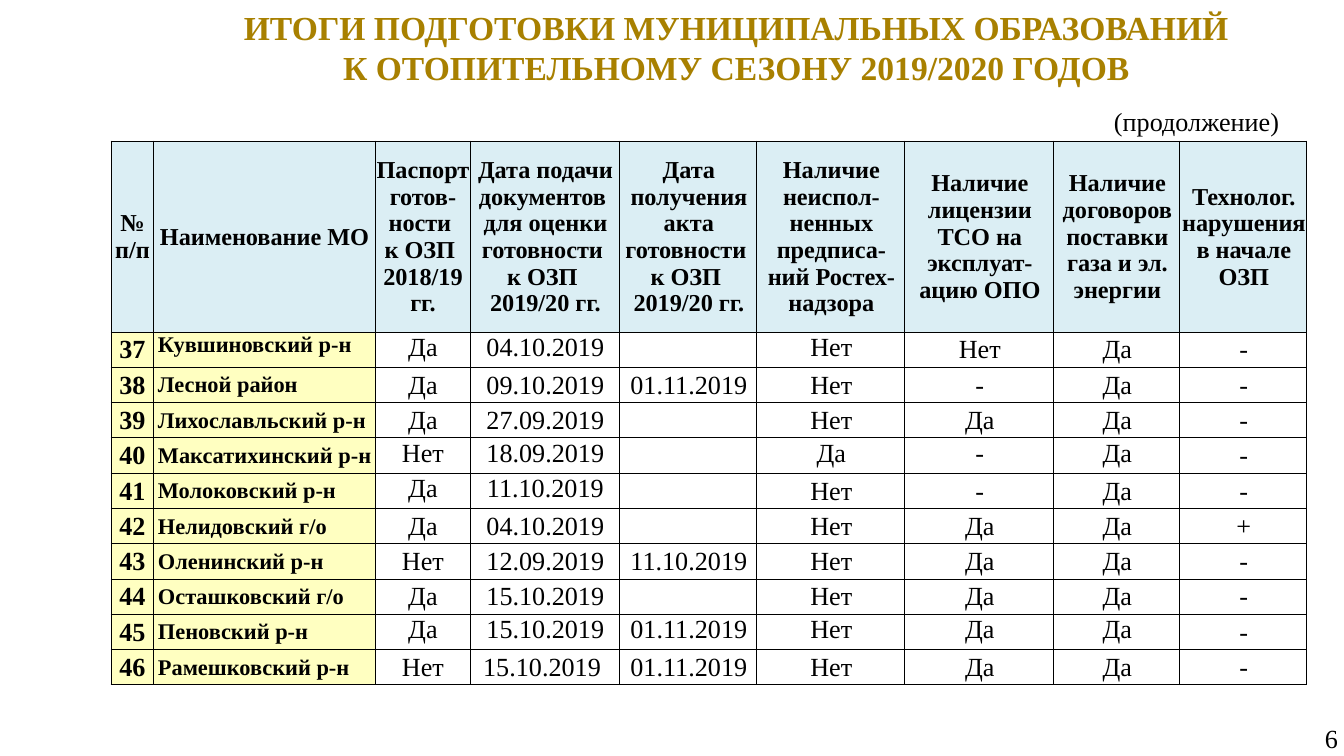
from lxml import etree
from pptx import Presentation
from pptx.dml.color import RGBColor
from pptx.enum.text import MSO_ANCHOR, PP_ALIGN
from pptx.oxml.ns import qn
from pptx.util import Pt

LEFT, CENTER, RIGHT = PP_ALIGN.LEFT, PP_ALIGN.CENTER, PP_ALIGN.RIGHT
TOP, MIDDLE = MSO_ANCHOR.TOP, MSO_ANCHOR.MIDDLE

SCALE = 914400 / 134.4  # EMU in one px
FONT = "Times New Roman"
BLACK, GOLD = "000000", "A88000"
HEADER_FILL, LABEL_FILL = "DBEEF4", "FFFFC1"

COLUMN_WIDTHS = [42, 222, 95, 150, 137, 148, 149, 126, 127]
TABLE_HEIGHT, HEADER_HEIGHT = 544, 191

# "\v" is a line break, "\n" starts a new paragraph
HEADERS = [
    "№ п/п",
    "Наименование МО",
    "Паспорт готов-ности \vк ОЗП \v2018/19 гг.",
    "Дата подачи документов \vдля оценки готовности \vк ОЗП \v2019/20 гг.",
    "Дата получения акта готовности \nк ОЗП \v2019/20 гг.",
    "Наличие неиспол-ненных предписа-ний Ростех-надзора",
    "Наличие лицензии ТСО на эксплуат-ацию ОПО",
    "Наличие договоров поставки газа и эл. энергии",
    "Технолог. нарушения в начале ОЗП",
]
ROWS = [
    ["37", "Кувшиновский р-н", "Да", "04.10.2019", "", "Нет", "Нет", "Да", "-"],
    ["38", "Лесной район", "Да", "09.10.2019", "01.11.2019", "Нет", "-", "Да", "-"],
    ["39", "Лихославльский р-н", "Да", "27.09.2019", "", "Нет", "Да", "Да", "-"],
    ["40", "Максатихинский р-н", "Нет", "18.09.2019", "", "Да", "-", "Да", "-"],
    ["41", "Молоковский р-н", "Да", "11.10.2019", "", "Нет", "-", "Да", "-"],
    ["42", "Нелидовский г/о", "Да", "04.10.2019", "", "Нет", "Да", "Да", "+"],
    ["43", "Оленинский р-н", "Нет", "12.09.2019", "11.10.2019", "Нет", "Да", "Да", "-"],
    ["44", "Осташковский г/о", "Да", "15.10.2019", "", "Нет", "Да", "Да", "-"],
    ["45", "Пеновский р-н", "Да", "15.10.2019", "01.11.2019", "Нет", "Да", "Да", "-"],
    ["46", "Рамешковский р-н", "Нет", "15.10.2019 ", "01.11.2019", "Нет", "Да", "Да", "-"],
]
# Columns whose text sits at the top of the cell, by row number
TOP_COLUMNS = {"37": {1, 2, 3, 5}, "40": {2, 3, 5, 6, 7}, "41": {2, 3},
               "45": {2, 3, 4, 5, 6, 7}}


def px(length):
    return round(length * SCALE)


def color(value):
    return RGBColor.from_string(value)


def format_text(frame, size, align, bold=False, shade=BLACK):
    for para in frame.paragraphs:
        para.alignment = align
        for span in para.runs:
            span.font.name = FONT
            span.font.size = Pt(size)
            span.font.bold = bold
            span.font.color.rgb = color(shade)


def set_insets(target, left, top, right, bottom):
    target.margin_left, target.margin_top = px(left), px(top)
    target.margin_right, target.margin_bottom = px(right), px(bottom)


def add_text(page, place, text, size, align, insets, **style):
    box = page.shapes.add_textbox(*[px(length) for length in place])
    frame = box.text_frame
    frame.word_wrap = True
    set_insets(frame, *insets)
    frame.text = text
    format_text(frame, size, align, **style)


def add_borders(cell):
    properties = cell._tc.get_or_add_tcPr()
    for side in ("a:lnL", "a:lnR", "a:lnT", "a:lnB"):
        line = etree.SubElement(properties, qn(side), w=str(Pt(0.5)))
        fill = etree.SubElement(line, qn("a:solidFill"))
        etree.SubElement(fill, qn("a:srgbClr"), val=BLACK)


def fill_cell(cell, text, size, align=CENTER, bold=False, shade=None,
              anchor=MIDDLE, insets=(1, 1, 0, 0)):
    add_borders(cell)
    if shade:
        cell.fill.solid()
        cell.fill.fore_color.rgb = color(shade)
    else:
        cell.fill.background()
    cell.vertical_anchor = anchor
    set_insets(cell, *insets)
    cell.text_frame.text = text
    format_text(cell.text_frame, size, align, bold)
    if not text:  # keeps an empty cell from stretching its row
        para = cell.text_frame.paragraphs[0]
        etree.SubElement(para._p, qn("a:endParaRPr"), sz=str(size * 100))


def add_readiness_table(page):
    frame = page.shapes.add_table(len(ROWS) + 1, len(HEADERS), px(111), px(141),
                                  px(sum(COLUMN_WIDTHS)), px(TABLE_HEIGHT))
    table = frame.table
    table.first_row = table.horz_banding = False
    for column, width in zip(table.columns, COLUMN_WIDTHS):
        column.width = px(width)
    for row in table.rows:
        row.height = px((TABLE_HEIGHT - HEADER_HEIGHT) / len(ROWS))
    table.rows[0].height = px(HEADER_HEIGHT)

    # Header row
    for index, text in enumerate(HEADERS):
        fill_cell(table.cell(0, index), text, 13, bold=True, shade=HEADER_FILL)

    # One row for each municipality
    for row_index, values in enumerate(ROWS, start=1):
        top_columns = TOP_COLUMNS.get(values[0], set())
        for index, text in enumerate(values):
            style = {"size": 14, "anchor": TOP if index in top_columns else MIDDLE}
            if index < 2:
                style.update(bold=True, shade=LABEL_FILL)
            if index == 1:
                style.update(size=12, align=LEFT, insets=(5, 1, 0, 0))
            fill_cell(table.cell(row_index, index), text, **style)


def main():
    deck = Presentation()
    deck.slide_width, deck.slide_height = px(1344), px(756)
    page = deck.slides.add_slide(deck.slide_layouts[6])

    # Page number
    add_text(page, (1101, 717, 243, 34), "6", 14, RIGHT, (11, 5, 6, 5))

    add_readiness_table(page)

    # Continuation note and title
    add_text(page, (1101, 98, 243, 45), "(продолжение)", 14, LEFT, (13, 7, 13, 7))
    add_text(page, (129, 0, 1215, 95),
             "ИТОГИ ПОДГОТОВКИ МУНИЦИПАЛЬНЫХ ОБРАЗОВАНИЙ\n"
             "К ОТОПИТЕЛЬНОМУ СЕЗОНУ 2019/2020 ГОДОВ",
             18, CENTER, (13, 7, 13, 7), bold=True, shade=GOLD)

    deck.save("out.pptx")


if __name__ == "__main__":
    main()
